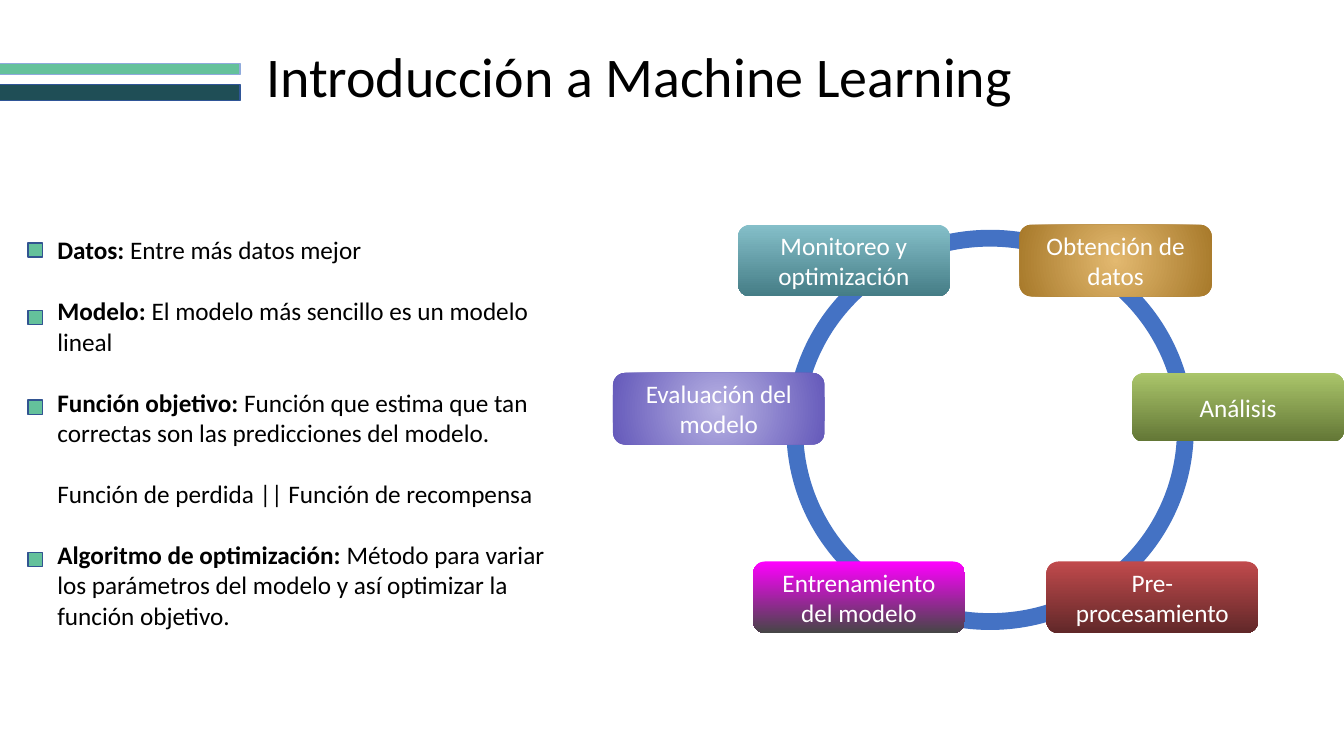
from lxml import etree
from pptx import Presentation
from pptx.dml.color import RGBColor
from pptx.enum.shapes import MSO_SHAPE
from pptx.enum.text import MSO_ANCHOR, PP_ALIGN
from pptx.oxml import parse_xml
from pptx.oxml.ns import nsdecls, qn
from pptx.util import Pt

EMU_PER_PX = 9144

RADIAL = (
    f'<a:path {nsdecls("a")} path="circle">'
    '<a:fillToRect l="50000" t="50000" r="50000" b="50000"/></a:path>'
)

STAGES = [
    ("Obtención de datos", (1011, 223, 191, 71), ("E3B970", "A7792A"), True),
    ("Pre-procesamiento", (1038, 557, 210, 71), ("C14A4C", "612829"), False),
    ("Análisis", (1123, 370, 210, 68), ("AAC56A", "637736"), False),
    ("Entrenamiento del modelo", (747, 557, 210, 71), ("FF00FF", "464646"), False),
    ("Evaluación del modelo", (608, 370, 210, 71), ("B8B2E3", "6459BA"), True),
    ("Monitoreo y optimización", (732, 223, 210, 71), ("85BFC9", "457D86"), False),
]

CONCEPTS = [
    ("Datos: ", "Entre más datos mejor"),
    ("Modelo: ", "El modelo más sencillo es un modelo lineal"),
    ("Función objetivo: ", "Función que estima que tan correctas son las predicciones del modelo."),
    ("", "Función de perdida || Función de recompensa"),
    ("Algoritmo de optimización: ", "Método para variar los parámetros del modelo y así optimizar la función objetivo."),
]

BARS = [(84, 16, "1F4E56", "2F5597"), (63, 11, "64C19B", "8FAADC")]
MARKER_TOPS = [241, 308, 397, 548]


def px(length):
    return length * EMU_PER_PX


def colour(value):
    return RGBColor.from_string(value)


def apply(target, values):
    for name, value in values.items():
        setattr(target, name, value)


class SlideBuilder:
    font_name = "Calibri"
    body_size = 18

    def __init__(self, deck):
        self.page = deck.slides.add_slide(deck.slide_layouts[5])

    def span(self, para, text, size=body_size, shade="000000", bold=False):
        span = para.add_run()
        span.text = text
        apply(span.font, {"name": self.font_name, "size": Pt(size), "bold": bold})
        span.font.color.rgb = colour(shade)

    def title(self, text, area):
        box = self.page.shapes.title
        apply(box, dict(zip(("left", "top", "width", "height"), map(px, area))))
        apply(box.text_frame, {"vertical_anchor": MSO_ANCHOR.TOP, "word_wrap": True})
        para = box.text_frame.paragraphs[0]
        apply(para, {"alignment": PP_ALIGN.LEFT, "line_spacing": 0.9})
        self.span(para, text, 40)

    def shape(self, kind, area, fill=None, line=None):
        shape = self.page.shapes.add_shape(kind, *map(px, area))
        shape.shadow.inherit = False
        if fill:
            shape.fill.solid()
            shape.fill.fore_color.rgb = colour(fill)
        if line:
            shape.line.color.rgb = colour(line)
            shape.line.width = Pt(1)
        else:
            shape.line.fill.background()
        return shape

    def ring(self, area, fill):
        self.shape(MSO_SHAPE.DONUT, area, fill).adjustments[0] = 0.042

    def stage(self, text, area, shades, radial):
        shape = self.shape(MSO_SHAPE.ROUNDED_RECTANGLE, area)
        shape.fill.gradient()
        shape.fill.gradient_angle = 270
        for stop, shade in zip(shape.fill.gradient_stops, shades):
            stop.color.rgb = colour(shade)
        if radial:
            linear = next(shape.element.spPr.iter(qn("a:lin")))
            linear.getparent().replace(linear, parse_xml(RADIAL))
        frame = shape.text_frame
        apply(frame, {"word_wrap": True, "vertical_anchor": MSO_ANCHOR.MIDDLE})
        for side in ("left", "top", "right", "bottom"):
            setattr(frame, f"margin_{side}", px(10))
        para = frame.paragraphs[0]
        para.alignment = PP_ALIGN.CENTER
        self.span(para, text, shade="FFFFFF")

    def concepts(self, entries, area):
        frame = self.page.shapes.add_textbox(*map(px, area)).text_frame
        frame.word_wrap = True
        for index, (term, meaning) in enumerate(entries):
            para = frame.add_paragraph() if index else frame.paragraphs[0]
            if index:
                para.space_before = Pt(22)
            if term:
                self.span(para, term, bold=True)
            self.span(para, meaning)


def main():
    deck = Presentation()
    apply(deck, {"slide_width": px(1333), "slide_height": px(750)})
    builder = SlideBuilder(deck)
    builder.title("Introducción a Machine Learning", (254, 44, 1000, 112))
    for top, height, fill, line in BARS:
        builder.shape(MSO_SHAPE.RECTANGLE, (-37, top, 275, height), fill, line)
    builder.ring((780, 228, 404, 397), "4472C4")
    for stage in STAGES:
        builder.stage(*stage)
    builder.concepts(CONCEPTS, (47, 228, 532, 404))
    for top in MARKER_TOPS:
        builder.shape(MSO_SHAPE.RECTANGLE, (28, top, 14, 14), "64C19B", "325491")
    deck.save("out.pptx")


if __name__ == "__main__":
    main()
